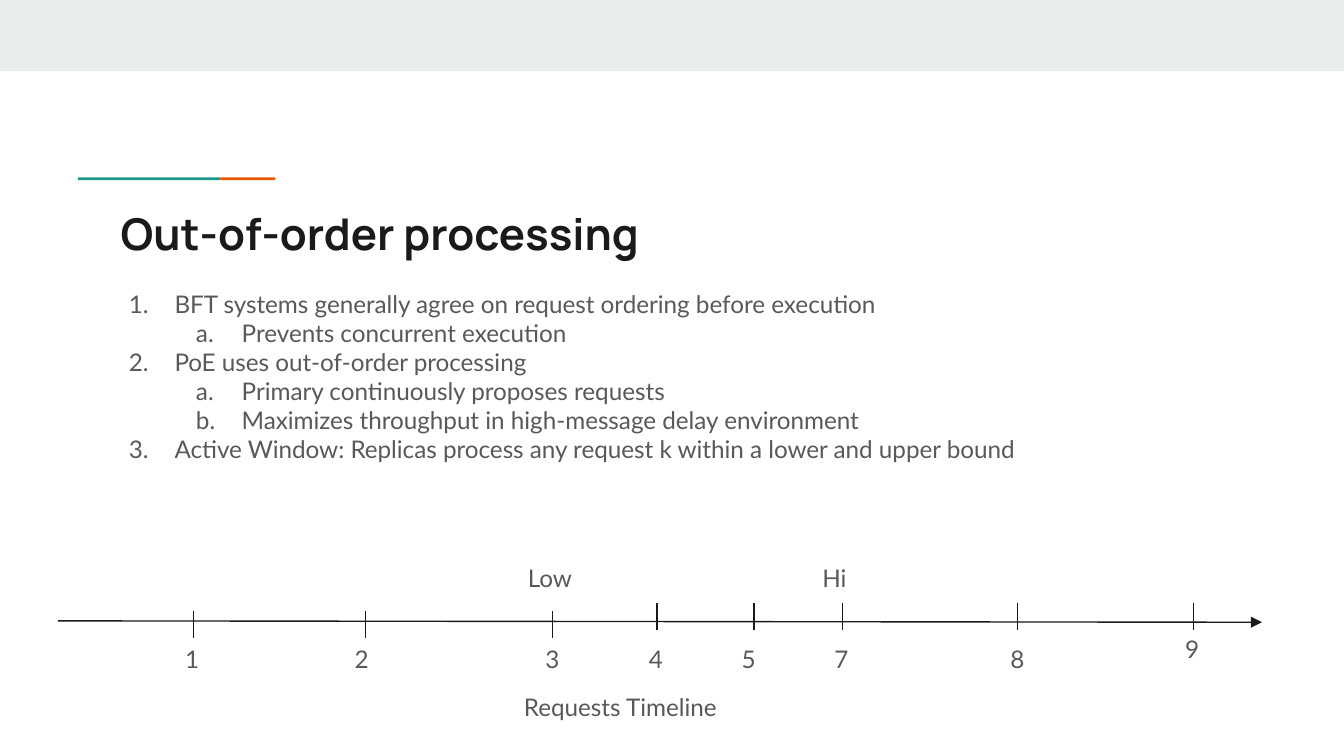
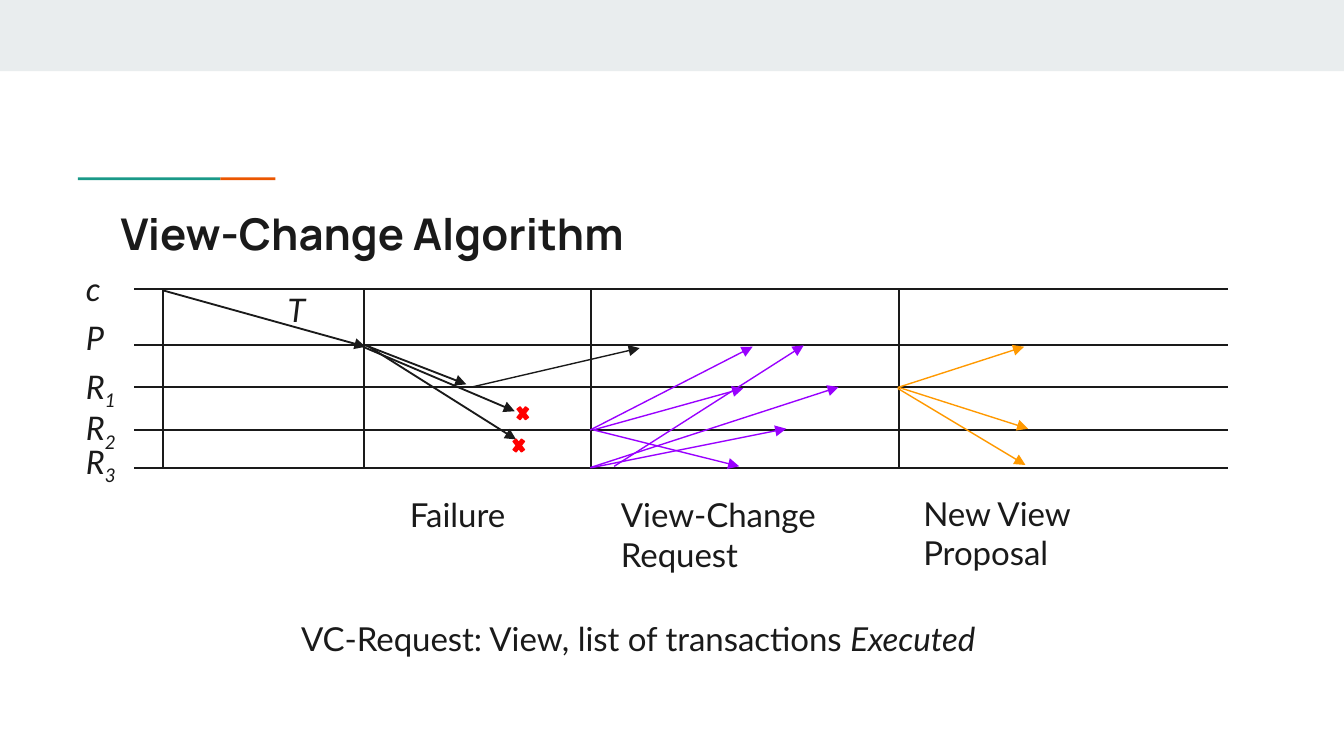
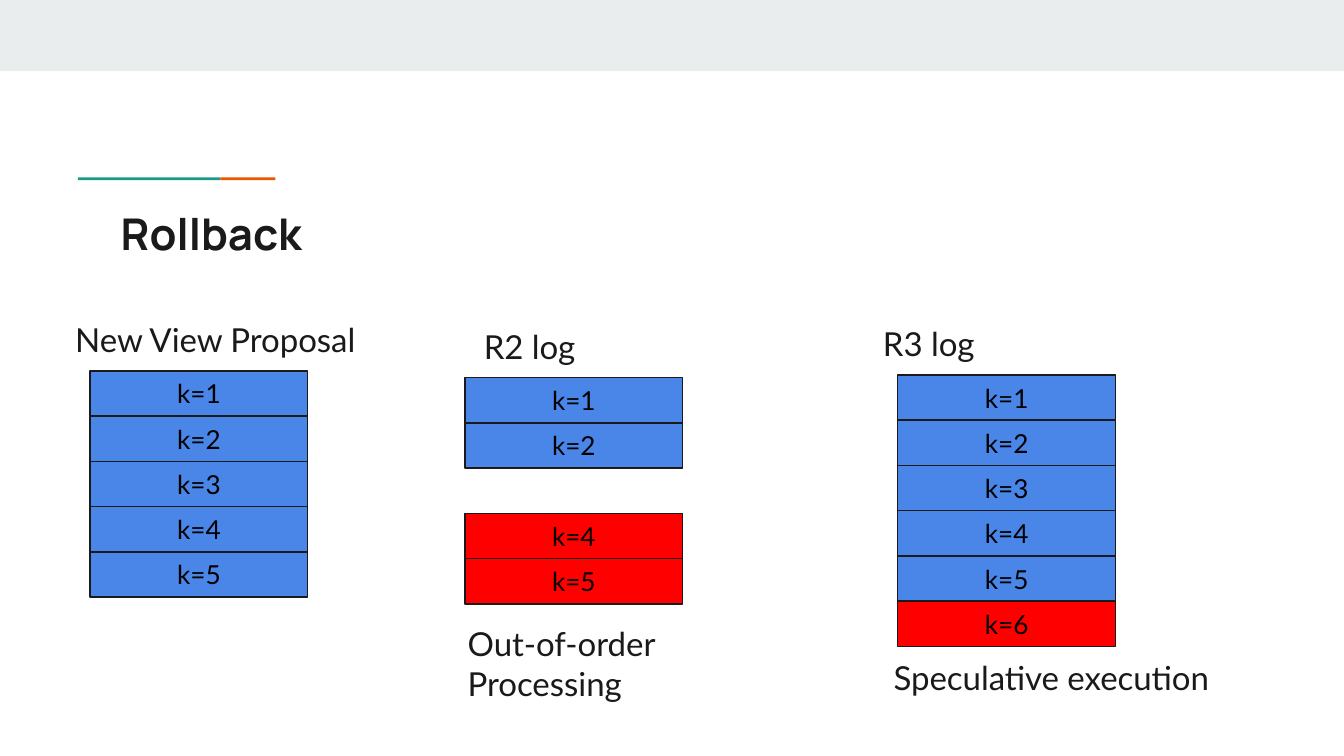
from lxml import etree
from pptx import Presentation
from pptx.dml.color import RGBColor
from pptx.enum.shapes import MSO_CONNECTOR, MSO_SHAPE
from pptx.enum.text import MSO_ANCHOR, PP_ALIGN
from pptx.oxml.ns import qn
from pptx.util import Inches, Pt

RECT, CROSS = MSO_SHAPE.RECTANGLE, MSO_SHAPE.MATH_MULTIPLY
STRAIGHT = MSO_CONNECTOR.STRAIGHT
LEFT, CENTER = PP_ALIGN.LEFT, PP_ALIGN.CENTER
TOP, MIDDLE = MSO_ANCHOR.TOP, MSO_ANCHOR.MIDDLE

SLIDE_W = 10
SLIDE_H = SLIDE_W * 9 / 16
COLORS = {
    "ink": "1A1A1A", "gray": "595959", "black": "000000", "band": "E9EDEE",
    "teal": "1A9988", "orange": "EB5600", "red": "FF0000", "blue": "4A86E8",
    "purple": "9900FF", "amber": "FF9900",
}
SMALL = dict(size=13, color="gray")
LABEL = dict(size=17.7, inset=0.14)
ITALIC = dict(size=17.4, inset=0.13, italic=True)

# Slide 1: (level, text), then timeline marks
POINTS = [
    (0, "BFT systems generally agree on request ordering before execution"),
    (1, "Prevents concurrent execution"),
    (0, "PoE uses out-of-order processing"),
    (1, "Primary continuously proposes requests"),
    (1, "Maximizes throughput in high-message delay environment"),
    (0, "Active Window: Replicas process any request k within a lower and upper bound"),
]
NUMBERING = ["arabicPeriod", "alphaLcPeriod"]
TICK_H = 0.2
TICKS = [  # request, tick x, tick top, label left, label top
    ("1", 1.44, 4.55, 1.28, 4.69), ("2", 2.72, 4.55, 2.54, 4.69),
    ("3", 4.11, 4.55, 3.96, 4.69), ("4", 4.89, 4.49, 4.73, 4.69),
    ("5", 5.61, 4.49, 5.42, 4.69), ("7", 6.27, 4.49, 6.11, 4.69),
    ("8", 7.57, 4.49, 7.42, 4.69), ("9", 8.88, 4.49, 8.72, 4.62),
]
TIMELINE_LABELS = [
    ("Requests Timeline", (3.8, 5.05, 1.89, 0.4)),
    ("Low", (3.83, 4.09, 0.56, 0.4)),
    ("Hi", (6.02, 4.09, 0.5, 0.4)),
]

# Slide 2
ROWS = [  # name, subscript, line y, label top
    ("c", "", 2.15, 1.87), ("P", "", 2.57, 2.24), ("R", "1", 2.88, 2.6),
    ("R", "2", 3.2, 2.91), ("R", "3", 3.48, 3.16),
]
ROW_LEFT, ROW_RIGHT = 1, 9.14
PHASE_X = [1.21, 2.71, 4.4, 6.69]
MESSAGES = [  # colour, width, [(x1, y1, x2, y2)]
    ("ink", 1, [(1.21, 2.16, 2.72, 2.58), (2.72, 2.57, 3.47, 2.86),
                (2.7, 2.58, 3.83, 3.06), (2.73, 2.57, 3.84, 3.27)]),
    ("ink", 0.75, [(3.51, 2.88, 4.76, 2.59)]),
    ("purple", 0.75, [(4.39, 3.2, 5.6, 2.58), (4.41, 3.2, 5.53, 2.89),
                      (4.42, 3.2, 5.5, 3.47), (4.4, 3.48, 5.85, 3.19),
                      (4.39, 3.48, 6.24, 2.88), (4.57, 3.47, 5.98, 2.57)]),
    ("amber", 0.75, [(6.68, 2.88, 7.65, 3.19), (6.68, 2.89, 7.63, 3.46),
                     (6.69, 2.88, 7.62, 2.58)]),
]
LOST = [(3.83, 3), (3.8, 3.24)]
PHASE_LABELS = [
    ("Failure", (2.91, 3.54, 1.21, 0.57)),
    ("View-Change Request", (4.48, 3.54, 1.74, 0.87)),
    ("New View Proposal", (6.73, 3.53, 1.74, 0.87)),
    ([[("VC-Request: View, list of transactions ", {}),
       ("Executed", {"italic": True})]], (2.1, 4.46, 6.91, 0.57)),
]

# Slide 3
LOGS = [  # left, top, {slot: colour}
    (0.67, 2.76, dict.fromkeys(range(1, 6), "blue")),
    (3.46, 2.81, {1: "blue", 2: "blue", 4: "red", 5: "red"}),
    (6.68, 2.79, {**dict.fromkeys(range(1, 6), "blue"), 6: "red"}),
]
SLOT_W, SLOT_H = 1.62, 2.02 / 6
LOG_LABELS = [
    ("New View Proposal", (0.42, 2.24, 2.96, 0.57)),
    ("R2 log", (3.46, 2.29, 2.96, 0.57)),
    ("R3 log", (6.43, 2.27, 2.96, 0.57)),
    (["Out-of-order", "Processing"], (3.34, 4.5, 2.96, 0.87)),
    ("Speculative execution", (6.51, 4.75, 2.96, 0.57)),
]


def rgb(name):
    return RGBColor.from_string(COLORS[name])


def write(sp, content, size=14, color="ink", font="Lato", bold=False, italic=False,
          inset=0.1, align=LEFT, anchor=TOP):
    """Fill a shape; content is a string or a list of paragraphs (string or runs)."""
    tf = sp.text_frame
    tf.word_wrap = True
    tf.vertical_anchor = anchor
    tf.margin_left = tf.margin_right = tf.margin_top = tf.margin_bottom = Inches(inset)
    paragraphs = [content] if isinstance(content, str) else content
    for i, runs in enumerate(paragraphs):
        p = tf.add_paragraph() if i else tf.paragraphs[0]
        p.alignment = align
        for words, extra in [(runs, {})] if isinstance(runs, str) else runs:
            r = p.add_run()
            r.text = words
            r.font.name, r.font.size = font, Pt(size)
            r.font.bold = bold
            r.font.italic = extra.get("italic", italic)
            r.font.color.rgb = rgb(color)
            if "baseline" in extra:
                r.font._element.set("baseline", str(extra["baseline"]))
    return tf


def text(s, content, box, **fmt):
    return write(s.shapes.add_textbox(*map(Inches, box)), content, **fmt)


def shape(s, kind, box, fill, line=None):
    sp = s.shapes.add_shape(kind, *map(Inches, box))
    sp.shadow.inherit = False
    sp.fill.solid()
    sp.fill.fore_color.rgb = rgb(fill)
    if line:
        sp.line.color.rgb = rgb(line)
        sp.line.width = Pt(0.75)
    else:
        sp.line.fill.background()
    return sp


def line(s, ends, color="ink", width=0.75, arrow=False):
    cx = s.shapes.add_connector(STRAIGHT, *map(Inches, ends))
    cx.line.color.rgb = rgb(color)
    cx.line.width = Pt(width)
    if arrow:
        etree.SubElement(cx.line._get_or_add_ln(), qn("a:tailEnd"), type="triangle")
    etree.SubElement(cx._element.spPr, qn("a:effectLst"))


def number(p, level):
    """Turn a paragraph into a numbered item of the given level."""
    p.level = level
    pPr = p._p.get_or_add_pPr()
    pPr.set("marL", str(Inches(0.5 * (level + 1))))
    pPr.set("indent", str(Inches(-0.34)))
    color = etree.SubElement(pPr, qn("a:buClr"))
    etree.SubElement(color, qn("a:srgbClr"), val=COLORS["gray"])
    etree.SubElement(pPr, qn("a:buAutoNum"), type=NUMBERING[level])


def new_slide(prs, title):
    s = prs.slides.add_slide(prs.slide_layouts[6])
    shape(s, RECT, (0, 0, SLIDE_W, 0.53), "band")
    shape(s, RECT, (0.58, 1.32, 1.06, 0.02), "teal")
    shape(s, RECT, (1.64, 1.32, 0.41, 0.02), "orange")
    text(s, title, (0.8, 1.44, 8.41, 0.59), size=23.4, font="Manrope", bold=True)
    return s


def out_of_order(prs):
    s = new_slide(prs, "Out-of-order processing")
    tf = text(s, [words for _, words in POINTS], (0.7, 2.05, 8.41, 2.47), **SMALL)
    for p, (level, _) in zip(tf.paragraphs, POINTS):
        number(p, level)
    line(s, (0.43, 4.62, 9.39, 4.63), arrow=True)
    for request, x, top, label_x, label_y in TICKS:
        line(s, (x, top, x, top + TICK_H))
        text(s, request, (label_x, label_y, 0.31, 0.4), **SMALL)
    for words, box in TIMELINE_LABELS:
        text(s, words, box, **SMALL)


def view_change(prs):
    s = new_slide(prs, "View-Change Algorithm")
    for name, sub, y, top in ROWS:
        line(s, (ROW_LEFT, y, ROW_RIGHT, y), width=1)
        runs = [(name, {})] + ([(sub, {"baseline": -25000})] if sub else [])
        text(s, [runs], (0.51, top, 0.67 if sub else 0.49, 0.56), **ITALIC)
    for x in PHASE_X:
        line(s, (x, ROWS[0][2], x, ROWS[-1][2]), width=1)
    text(s, "T", (2.01, 2.03, 0.49, 0.56), **ITALIC)
    for color, width, arrows in MESSAGES:
        for ends in arrows:
            line(s, ends, color, width, arrow=True)
    for x, y in LOST:
        shape(s, CROSS, (x, y, 0.12, 0.15), "red", "red").adjustments[0] = 0.235
    for words, box in PHASE_LABELS:
        text(s, words, box, **LABEL)


def rollback(prs):
    s = new_slide(prs, "Rollback")
    for left, top, slots in LOGS:
        for k, fill in slots.items():
            sp = shape(s, RECT, (left, top + (k - 1) * SLOT_H, SLOT_W, SLOT_H), fill, "ink")
            write(sp, f"k={k}", color="black", align=CENTER, anchor=MIDDLE)
    for words, box in LOG_LABELS:
        text(s, words, box, **LABEL)


def main():
    prs = Presentation()
    prs.slide_width, prs.slide_height = Inches(SLIDE_W), Inches(SLIDE_H)
    for build in (out_of_order, view_change, rollback):
        build(prs)
    prs.save("out.pptx")


if __name__ == "__main__":
    main()
